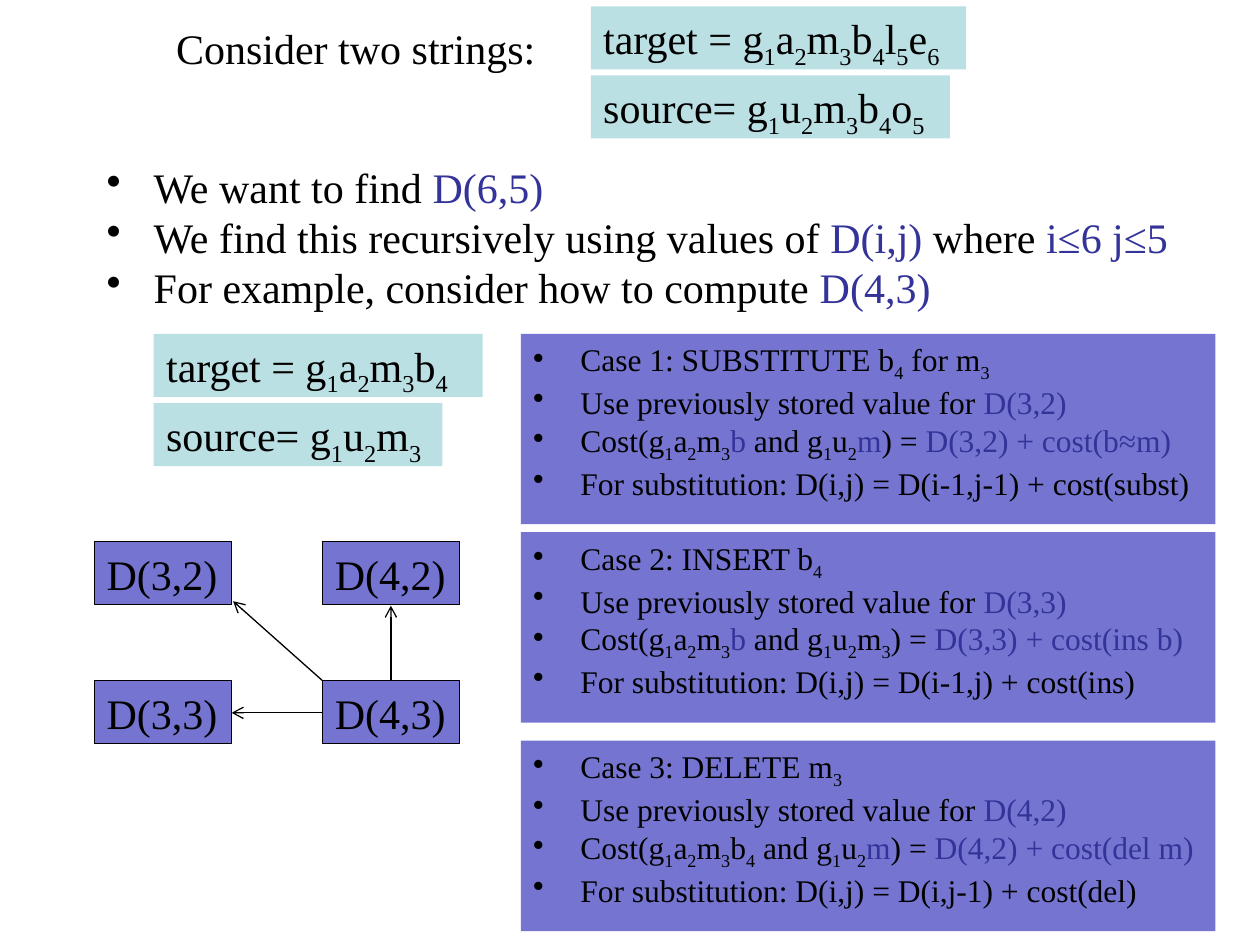
from lxml.etree import SubElement
from pptx import Presentation
from pptx.dml.color import RGBColor
from pptx.enum.shapes import MSO_CONNECTOR, MSO_SHAPE
from pptx.enum.text import MSO_ANCHOR, MSO_AUTO_SIZE, PP_ALIGN
from pptx.oxml.ns import qn
from pptx.util import Cm, Pt

BLACK, BLUE, TEAL, VIOLET = "000000", "333399", "BBE0E3", "7575D1"
FRAME_FORMAT = {
    "auto_size": MSO_AUTO_SIZE.SHAPE_TO_FIT_TEXT,
    "vertical_anchor": MSO_ANCHOR.TOP,
    "margin_left": Cm(0.25), "margin_right": Cm(0.25),
    "margin_top": Cm(0.13), "margin_bottom": Cm(0.13),
}


def color(hex_string):
    """Return the colour for a hex string."""
    return RGBColor.from_string(hex_string)


def add_box(lines, left, top, width, height=1.27, size=24, fill=None,
            outline=False, bullets=False, wrap=False):
    """Add a text box; _ lowers the next character and braces enclose blue text."""
    position = Cm(left), Cm(top), Cm(width), Cm(height)
    if fill:
        shape = slide.shapes.add_shape(MSO_SHAPE.RECTANGLE, *position)
        shape.shadow.inherit = False
        shape.fill.solid()
        shape.fill.fore_color.rgb = color(fill)
        if outline:
            shape.line.color.rgb = color(BLACK)
            shape.line.width = Pt(0.75)
        else:
            shape.line.fill.background()
    else:
        shape = slide.shapes.add_textbox(*position)
    frame = shape.text_frame
    for name, value in FRAME_FORMAT.items():
        setattr(frame, name, value)
    frame.word_wrap = wrap

    for index, line in enumerate(lines):
        paragraph = frame.paragraphs[0] if index == 0 else frame.add_paragraph()
        paragraph.alignment = PP_ALIGN.LEFT
        if bullets:
            properties = paragraph._p.get_or_add_pPr()
            properties.set("marL", str(Cm(0.95)))
            properties.set("indent", str(-Cm(0.95)))
            SubElement(properties, qn("a:buFontTx"))
            SubElement(properties, qn("a:buChar")).set("char", "•")

        pieces = []
        text_color, lowered = BLACK, False
        for character in line:
            if character in "{}":
                text_color = BLUE if character == "{" else BLACK
            elif character == "_":
                lowered = True
            else:
                style = (text_color, lowered)
                if pieces and pieces[-1][1] == style:
                    pieces[-1][0] += character
                else:
                    pieces.append([character, style])
                lowered = False
        for text, (text_color, lowered) in pieces:
            run = paragraph.add_run()
            run.text = text
            run.font.name = "Times New Roman"
            run.font.size = Pt(size)
            run.font.color.rgb = color(text_color)
            if lowered:
                run._r.get_or_add_rPr().set("baseline", "-25000")


presentation = Presentation()
presentation.slide_width, presentation.slide_height = Cm(25.4), Cm(19.05)
slide = presentation.slides.add_slide(presentation.slide_layouts[6])

add_box(["Consider two strings:"], 3.3, 0.33, 7.82)
add_box([
    "We want to find {D(6,5)}",
    "We find this recursively using values of {D(i,j)} where {i≤6 j≤5}",
    "For example, consider how to compute {D(4,3)}",
], 1.9, 3.12, 22.02, 3.33, bullets=True)

# Full strings and their prefixes
for text, left, top, width in [
    ("target = g_1a_2m_3b_4l_5e_6", 11.91, 0.13, 7.57),
    ("source= g_1u_2m_3b_4o_5", 11.91, 1.52, 7.24),
    ("target = g_1a_2m_3b_4", 3.1, 6.73, 6.63),
    ("source= g_1u_2m_3", 3.1, 8.13, 5.82),
]:
    add_box([text], left, top, width, fill=TEAL)

# The three edit cases
for top, heading, stored, cost, rule in [
    (6.73, "Case 1: SUBSTITUTE b_4 for m_3", "D(3,2)",
     "Cost(g_1a_2m_3{b} and g_1u_2{m}) ={ D(3,2) + cost(b≈m)}",
     "D(i-1,j-1) + cost(subst)"),
    (10.73, "Case 2: INSERT b_4", "D(3,3)",
     "Cost(g_1a_2m_3{b} and g_1u_2m_3) ={ D(3,3) + cost(ins b)}",
     "D(i-1,j) + cost(ins)"),
    (14.93, "Case 3: DELETE m_3", "D(4,2)",
     "Cost(g_1a_2m_3b_4 and g_1u_2{m}) ={ D(4,2) + cost(del m)}",
     "D(i,j-1) + cost(del)"),
]:
    add_box([
        heading,
        f"Use previously stored value for {{{stored}}}",
        cost,
        f"For substitution: D(i,j) = {rule}",
    ], 10.5, top, 14, 3.84, size=18, fill=VIOLET, bullets=True, wrap=True)

# Grid of table cells and the arrows out of D(4,3)
for column, left in ((3, 1.9), (4, 6.5)):
    for row, top in ((2, 10.92), (3, 13.72)):
        add_box([f"D({column},{row})"], left, top, 2.77, fill=VIOLET, outline=True)

for start_x, start_y, end_x, end_y in [
    (7.88, 13.72, 7.88, 12.21),
    (6.5, 13.72, 4.7, 12.12),
    (6.5, 14.37, 4.67, 14.37),
]:
    arrow = slide.shapes.add_connector(
        MSO_CONNECTOR.STRAIGHT, Cm(start_x), Cm(start_y), Cm(end_x), Cm(end_y))
    arrow.line.color.rgb = color(BLACK)
    arrow.line.width = Pt(0.75)
    SubElement(arrow.line._get_or_add_ln(), qn("a:tailEnd")).set("type", "arrow")
    SubElement(arrow._element.spPr, qn("a:effectLst"))

presentation.save("out.pptx")
